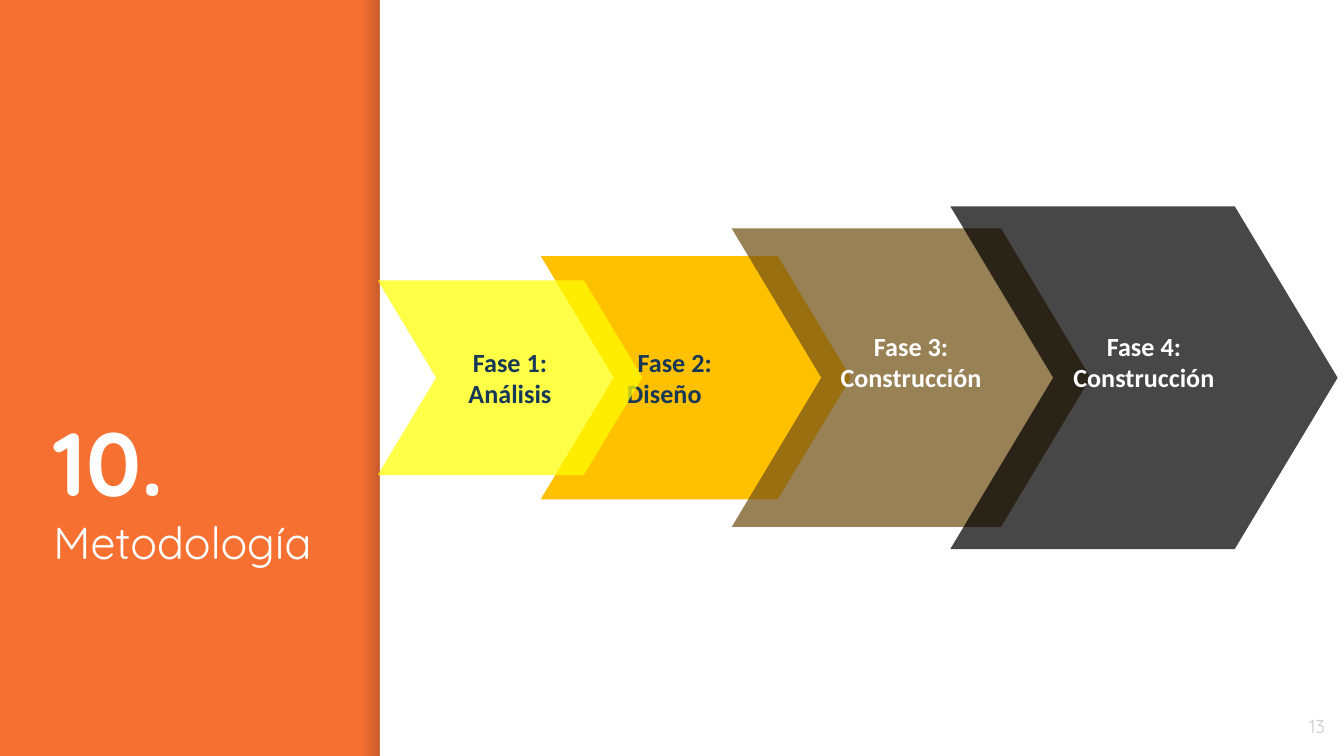
from dataclasses import dataclass

from pptx import Presentation
from pptx import util as u
from pptx.dml.color import RGBColor
from pptx.enum import shapes, text
from pptx.oxml import ns, xmlchemy


@dataclass(frozen=True)
class Theme:
    orange: str = "F67031"
    white: str = "FFFFFF"
    shade: str = "000014"
    navy: str = "163856"
    grey: str = "CCCCCC"
    yellow: str = "FFFF00"
    amber: str = "FFC000"
    brown: str = "725116"
    black: str = "000000"
    heading_font: str = "Quicksand"
    phase_font: str = "Calibri"
    number_size: int = 48
    title_size: int = 24
    phase_size: int = 14
    page_size: int = 10


theme = Theme()
INSET = u.Cm(0.25)


def write(para, words, *, font, size, color, bold=False, align=text.PP_ALIGN.LEFT):
    """Add one formatted run to a paragraph."""
    para.alignment = align
    span = para.add_run()
    span.text = words
    span.font.name = font
    span.font.size = u.Pt(size)
    span.font.bold = bold
    span.font.color.rgb = RGBColor.from_string(color)


def set_opacity(shape, *percents):
    """Give the fill colours of a shape their opacity, in order."""
    colors = list(shape._element.spPr.iter(ns.qn("a:srgbClr")))
    for color, percent in zip(colors, percents):
        alpha = xmlchemy.OxmlElement("a:alpha")
        alpha.set("val", str(percent * 1000))
        color.append(alpha)


# Deck and page
deck = Presentation()
deck.slide_width, deck.slide_height = u.Cm(25.4), u.Cm(14.29)
page = deck.slides.add_slide(deck.slide_layouts[5])
page.background.fill.solid()
page.background.fill.fore_color.rgb = RGBColor.from_string(theme.orange)

# Shaded edge and white panel
edge = page.shapes.add_shape(shapes.MSO_SHAPE.RECTANGLE,
                             u.Cm(6.86), 0, u.Cm(0.32), deck.slide_height)
edge.fill.gradient()
edge.fill.gradient_angle = 0
for stop in edge.fill.gradient_stops:
    stop.color.rgb = RGBColor.from_string(theme.shade)
set_opacity(edge, 0, 20)

panel = page.shapes.add_shape(shapes.MSO_SHAPE.RECTANGLE,
                              u.Cm(7.18), 0, u.Cm(18.22), deck.slide_height)
panel.fill.solid()
panel.fill.fore_color.rgb = RGBColor.from_string(theme.white)
for box in (edge, panel):
    box.line.fill.background()
    box.shadow.inherit = False

# Phase chevrons, from back to front, all centred on one horizontal axis
AXIS = 7.14
CENTER, LEFT = text.PP_ALIGN.CENTER, text.PP_ALIGN.LEFT
phases = [
    # words, left, width, height, fill, opacity, text colour, align, indent, bottom inset
    ("Fase 2: Diseño", 10.22, 5.86, 4.6, theme.amber, 100, theme.navy, LEFT, 0.2, 0.25),
    ("Fase 3: Construcción", 13.83, 6.78, 5.64, theme.brown, 72, theme.white, CENTER, 0, 0.85),
    ("Fase 1: Análisis", 7.14, 5.0, 3.68, theme.yellow, 72, theme.navy, CENTER, 0, 0.25),
    ("Fase 4: Construcción", 17.96, 7.32, 6.48, theme.black, 72, theme.white, CENTER, 0, 0.85),
]
for words, left, width, height, fill, opacity, color, align, indent, bottom in phases:
    chevron = page.shapes.add_shape(
        shapes.MSO_SHAPE.CHEVRON,
        u.Cm(left), u.Cm(AXIS - height / 2), u.Cm(width), u.Cm(height))
    chevron.adjustments[0] = 0.3
    chevron.shadow.inherit = False
    chevron.line.fill.background()
    chevron.fill.solid()
    chevron.fill.fore_color.rgb = RGBColor.from_string(fill)
    if opacity < 100:
        set_opacity(chevron, opacity)
    frame = chevron.text_frame
    frame.word_wrap = True
    frame.vertical_anchor = text.MSO_ANCHOR.MIDDLE
    frame.margin_left = frame.margin_right = frame.margin_top = INSET
    frame.margin_bottom = u.Cm(bottom)
    para = frame.paragraphs[0]
    write(para, words, font=theme.phase_font, size=theme.phase_size,
          color=color, bold=True, align=align)
    if indent:
        para._p.get_or_add_pPr().set("indent", str(u.Cm(indent)))

# Section title
title = page.shapes.title
title.left, title.top, title.width, title.height = (
    u.Cm(0.76), u.Cm(0.79), u.Cm(5.61), u.Cm(10.21))
frame = title.text_frame
frame.auto_size = text.MSO_AUTO_SIZE.NONE
frame.word_wrap = True
frame.vertical_anchor = text.MSO_ANCHOR.BOTTOM
frame.margin_left = frame.margin_right = frame.margin_top = frame.margin_bottom = INSET
write(frame.paragraphs[0], "10.", font=theme.heading_font,
      size=theme.number_size, color=theme.white, bold=True)
write(frame.add_paragraph(), "Metodología", font=theme.heading_font,
      size=theme.title_size, color=theme.white)

# Page number
number = page.shapes.add_textbox(u.Cm(23.77), u.Cm(13.18), u.Cm(1.52), u.Cm(1.09))
frame = number.text_frame
frame.word_wrap = True
frame.vertical_anchor = text.MSO_ANCHOR.MIDDLE
frame.margin_left = frame.margin_right = frame.margin_top = frame.margin_bottom = INSET
write(frame.paragraphs[0], "13", font=theme.heading_font, size=theme.page_size,
      color=theme.grey, align=text.PP_ALIGN.RIGHT)

deck.save("out.pptx")
